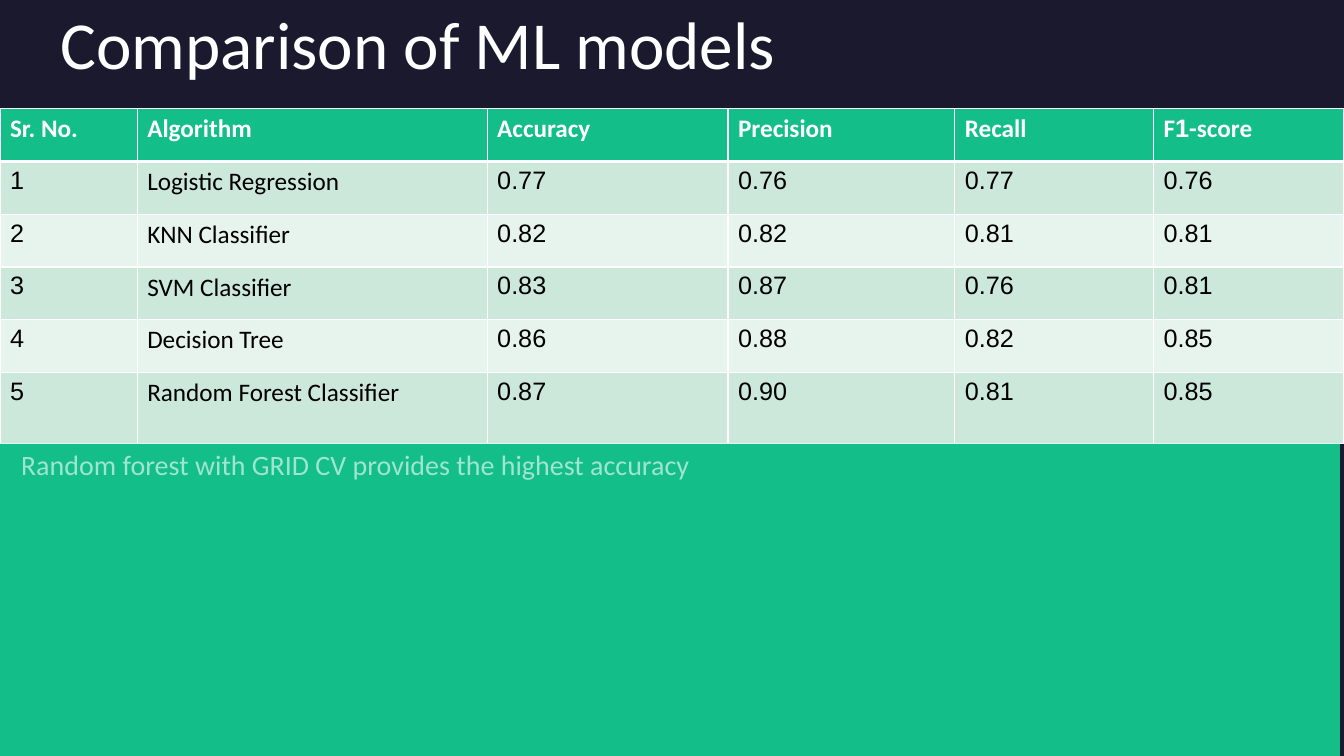
"""Build a slide comparing the scores of five machine learning models."""
from lxml import etree
from pptx import Presentation
from pptx.dml.color import RGBColor
from pptx.enum.shapes import MSO_SHAPE
from pptx.enum.text import MSO_ANCHOR, MSO_AUTO_SIZE, PP_ALIGN
from pptx.oxml.ns import qn
from pptx.util import Pt

RECTANGLE = MSO_SHAPE.RECTANGLE
TOP = MSO_ANCHOR.TOP
NO_AUTOFIT = MSO_AUTO_SIZE.NONE
LEFT = PP_ALIGN.LEFT

HEADING = "Comparison of ML models"
HEADERS = [
    [("Sr. No.", "Calibri")],
    [("Algorithm", "Calibri")],
    [("Accuracy", "Calibri")],
    [("Precision", "Calibri")],
    [("Recall", "Calibri")],
    [("F", "Calibri"), ("1", "Arial"), ("-score", "Calibri")],
]
MODELS = [
    ("Logistic Regression", "0.77", "0.76", "0.77", "0.76"),
    ("KNN Classifier", "0.82", "0.82", "0.81", "0.81"),
    ("SVM Classifier", "0.83", "0.87", "0.76", "0.81"),
    ("Decision Tree", "0.86", "0.88", "0.82", "0.85"),
    ("Random Forest Classifier", "0.87", "0.90", "0.81", "0.85"),
]
CONCLUSION = "Random forest with GRID CV provides the highest accuracy"

NAVY, GREEN, WHITE, BLACK = "1B192E", "13BE89", "FFFFFF", "000000"
BANDS = ("CCE8DA", "E7F4ED")
SLIDE_WIDTH, SLIDE_HEIGHT = 960, 540
COLUMN_WIDTHS = (98, 250, 172, 162, 142, 136)
ROW_HEIGHTS = (37.65,) * 5 + (51,)
TABLE_TOP = 77.75


def paint(color_format, hex_color):
    color_format.rgb = RGBColor.from_string(hex_color)


def fill_solid(fill, hex_color):
    fill.solid()
    paint(fill.fore_color, hex_color)


def add_run(paragraph, text, size, font_name, hex_color, bold=False):
    run = paragraph.add_run()
    run.text = text
    run.font.size = Pt(size)
    run.font.name = font_name
    run.font.bold = bold
    paint(run.font.color, hex_color)
    return run


def clear_margins(frame):
    frame.margin_left = frame.margin_right = 0
    frame.margin_top = frame.margin_bottom = 0
    frame.vertical_anchor = TOP
    frame.word_wrap = True
    frame.auto_size = NO_AUTOFIT


def add_borders(cell, widths):
    properties = cell._tc.get_or_add_tcPr()
    for side, width in widths.items():
        line = etree.SubElement(properties, qn(f"a:ln{side}"), w=str(Pt(width)))
        solid = etree.SubElement(line, qn("a:solidFill"))
        etree.SubElement(solid, qn("a:srgbClr"), val=WHITE)


def add_heading(slide):
    heading = slide.shapes.title
    heading.left, heading.top = Pt(43.2), Pt(8)
    heading.width, heading.height = Pt(754), Pt(44)
    clear_margins(heading.text_frame)
    paragraph = heading.text_frame.paragraphs[0]
    paragraph.alignment = LEFT
    paragraph.line_spacing = 0.9
    add_run(paragraph, HEADING, 48, "Calibri", WHITE)


def add_score_table(slide):
    body = [
        [(str(number), "Arial"), (model, "Calibri")] + [(score, "Arial") for score in scores]
        for number, (model, *scores) in enumerate(MODELS, 1)
    ]
    rows = [HEADERS] + [[[entry] for entry in row] for row in body]
    table = slide.shapes.add_table(
        len(rows), len(HEADERS), 0, Pt(TABLE_TOP), Pt(SLIDE_WIDTH), Pt(sum(ROW_HEIGHTS))
    ).table
    for column, width in zip(table.columns, COLUMN_WIDTHS):
        column.width = Pt(width)
    for row, height in zip(table.rows, ROW_HEIGHTS):
        row.height = Pt(height)
    for r, row in enumerate(rows):
        is_header = r == 0
        background = GREEN if is_header else BANDS[(r - 1) % 2]
        borders = {"L": 1, "R": 1, "T": 3 if r == 1 else 1, "B": 3 if is_header else 1}
        for c, pieces in enumerate(row):
            cell = table.cell(r, c)
            add_borders(cell, borders)
            fill_solid(cell.fill, background)
            paragraph = cell.text_frame.paragraphs[0]
            for text, font_name in pieces:
                add_run(paragraph, text, 18, font_name, WHITE if is_header else BLACK, is_header)


def add_conclusion(slide):
    panel_top = TABLE_TOP + sum(ROW_HEIGHTS)
    panel = slide.shapes.add_shape(RECTANGLE, Pt(-3), Pt(panel_top), Pt(SLIDE_WIDTH), Pt(224))
    panel.shadow.inherit = False
    fill_solid(panel.fill, GREEN)
    panel.line.fill.background()
    clear_margins(panel.text_frame)
    paragraph = panel.text_frame.paragraphs[0]
    paragraph.alignment = LEFT
    paragraph.line_spacing = 1.1
    paragraph.space_before, paragraph.space_after = Pt(10), Pt(8)
    paragraph._p.get_or_add_pPr().set("marL", str(Pt(18)))
    run = add_run(paragraph, CONCLUSION, 20, "Calibri", WHITE)
    tint = run._r.find(".//" + qn("a:srgbClr"))
    etree.SubElement(tint, qn("a:alpha"), val="60000")


def main():
    deck = Presentation()
    deck.slide_width, deck.slide_height = Pt(SLIDE_WIDTH), Pt(SLIDE_HEIGHT)
    slide = deck.slides.add_slide(deck.slide_layouts.get_by_name("Title Only"))
    fill_solid(slide.background.fill, NAVY)
    add_heading(slide)
    add_score_table(slide)
    add_conclusion(slide)
    deck.save("out.pptx")


if __name__ == "__main__":
    main()
